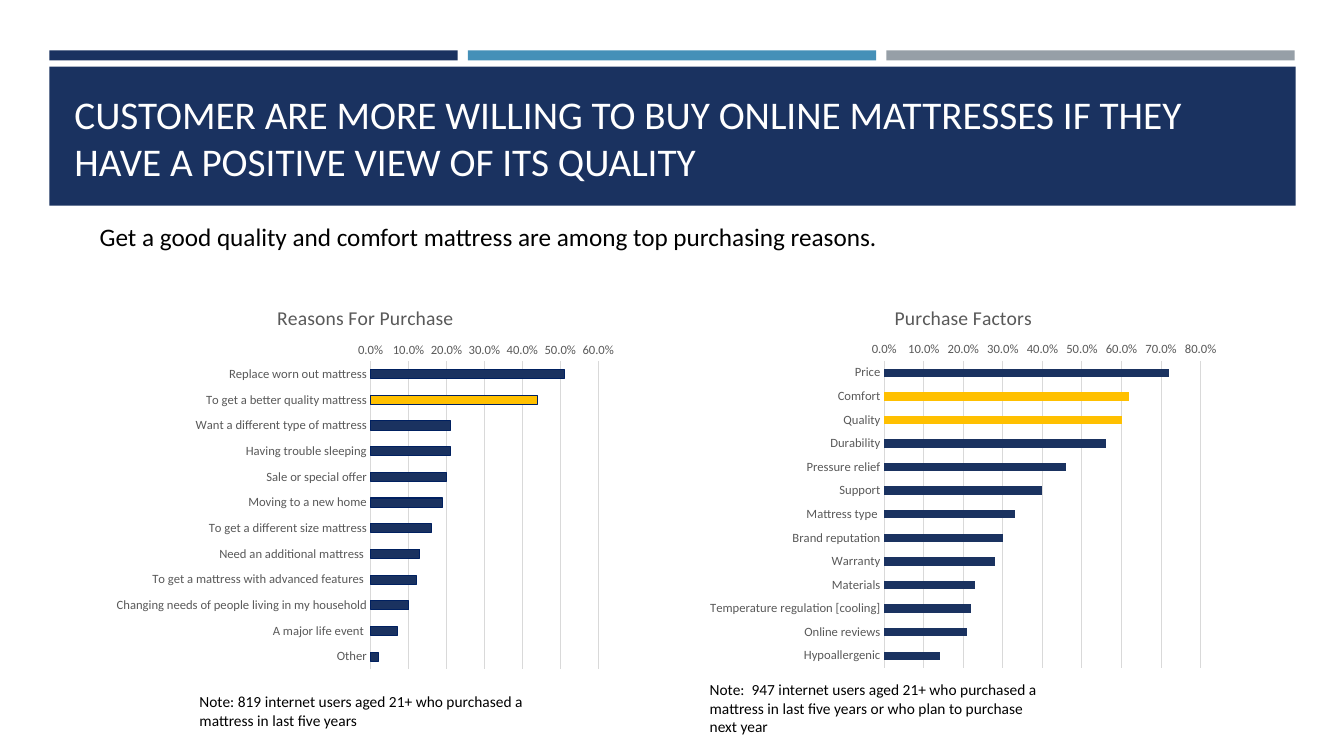
"""Build a slide on mattress purchase reasons with two bar charts."""
from pptx import Presentation
from pptx import util as u
from pptx.chart import data as chart_data
from pptx.dml import color
from pptx.enum import chart as chart_enum, shapes, text
from pptx.oxml import parse_xml
from pptx.oxml import ns

FONT = "Calibri"
COLORS = {
    "navy": "1A3260", "blue": "4590B8", "gray": "969FA7", "white": "FFFFFF",
    "black": "000000", "highlight": "FFC000", "outline": "002060",
    "label": "595959", "grid": "D9D9D9",
}
REASONS = {
    "Replace worn out mattress": 0.51,
    "To get a better quality mattress": 0.44,
    "Want a different type of mattress": 0.21,
    "Having trouble sleeping": 0.21,
    "Sale or special offer": 0.2,
    "Moving to a new home": 0.19,
    "To get a different size mattress": 0.16,
    "Need an additional mattress ": 0.13,
    "To get a mattress with advanced features ": 0.12,
    "Changing needs of people living in my household": 0.1,
    "A major life event ": 0.07,
    "Other": 0.02,
}
FACTORS = {
    "Price": 0.72, "Comfort": 0.62, "Quality": 0.6, "Durability": 0.56,
    "Pressure relief": 0.46, "Support": 0.4, "Mattress type ": 0.33,
    "Brand reputation": 0.3, "Warranty": 0.28, "Materials": 0.23,
    "Temperature regulation [cooling]": 0.22, "Online reviews": 0.21,
    "Hypoallergenic": 0.14,
}


def rgb(name):
    return color.RGBColor.from_string(COLORS[name])


def box(bounds):
    return [u.Inches(value) for value in bounds]


def style_font(font, size, color_name):
    font.name = FONT
    font.size = u.Pt(size)
    font.bold = False
    font.color.rgb = rgb(color_name)


def paint(fill, color_name):
    fill.solid()
    fill.fore_color.rgb = rgb(color_name)


def draw_line(line, color_name):
    line.color.rgb = rgb(color_name)
    line.width = u.Pt(0.75)


def add_band(slide, bounds, color_name):
    shape = slide.shapes.add_shape(shapes.MSO_SHAPE.RECTANGLE, *box(bounds))
    shape.shadow.inherit = False
    paint(shape.fill, color_name)
    shape.line.fill.background()


def add_text(slide, bounds, content, size, color_name="black", anchor="TOP"):
    frame = slide.shapes.add_textbox(*box(bounds)).text_frame
    frame.word_wrap = True
    frame.vertical_anchor = text.MSO_ANCHOR[anchor]
    run = frame.paragraphs[0].add_run()
    run.text = content
    style_font(run.font, size, color_name)


def place_plot(chart, plot_bounds):
    plot_area = chart._chartSpace.chart.plotArea
    for layout in plot_area.findall(ns.qn("c:layout")):
        plot_area.remove(layout)
    sides = "".join(f'<c:{side} val="{value}"/>'
                    for side, value in zip("xywh", plot_bounds))
    plot_area.insert(0, parse_xml(
        f'<c:layout {ns.nsdecls("c")}><c:manualLayout>'
        '<c:layoutTarget val="inner"/><c:xMode val="edge"/>'
        f'<c:yMode val="edge"/>{sides}</c:manualLayout></c:layout>'))


def style_axes(chart, maximum):
    category, value = chart.category_axis, chart.value_axis
    for axis in (category, value):
        axis.major_tick_mark = chart_enum.XL_TICK_MARK.NONE
        axis.minor_tick_mark = chart_enum.XL_TICK_MARK.NONE
        style_font(axis.tick_labels.font, 9, "label")
    category.reverse_order = True
    draw_line(category.format.line, "grid")
    value.minimum_scale = 0
    value.maximum_scale = maximum
    value.major_unit = 0.1
    value.format.line.fill.background()
    draw_line(value.major_gridlines.format.line, "grid")
    value.tick_labels.number_format = "0.0%"
    value.tick_labels.number_format_is_linked = False


def add_bars(slide, bounds, title, values, maximum, plot_bounds,
             highlights, outlined=False):
    source = chart_data.CategoryChartData(number_format="0.0%")
    source.categories = list(values)
    source.add_series("Series 1", list(values.values()))
    chart = slide.shapes.add_chart(
        chart_enum.XL_CHART_TYPE.BAR_CLUSTERED, *box(bounds), source).chart
    style_font(chart.font, 10, "black")
    chart.has_legend = False
    chart.has_title = True
    run = chart.chart_title.text_frame.paragraphs[0].add_run()
    run.text = title
    style_font(run.font, 14, "label")
    style_axes(chart, maximum)
    plot = chart.plots[0]
    plot.gap_width = 182
    plot.vary_by_categories = False
    series = plot.series[0]
    formats = [(series.format, "navy")]
    formats += [(series.points[index].format, "highlight")
                for index in highlights]
    for bar_format, color_name in formats:
        paint(bar_format.fill, color_name)
        if outlined:
            draw_line(bar_format.line, "outline")
    place_plot(chart, plot_bounds)


def main():
    presentation = Presentation()
    presentation.slide_width = u.Inches(13.33)
    presentation.slide_height = u.Inches(7.5)
    slide = presentation.slides.add_slide(presentation.slide_layouts[6])

    for column, color_name in enumerate(("navy", "blue", "gray")):
        add_band(slide, (0.49 + 4.15 * column, 0.5, 4.05, 0.1), color_name)
    add_band(slide, (0.49, 0.66, 12.36, 1.38), "navy")
    add_text(slide, (0.64, 0.8, 12.06, 1.08),
             "CUSTOMER ARE MORE WILLING TO BUY ONLINE MATTRESSES IF THEY "
             "HAVE A POSITIVE VIEW OF ITS QUALITY", 28, "white", "BOTTOM")
    add_text(slide, (0.89, 2.15, 11.15, 0.4),
             "Get a good quality and comfort mattress are among top "
             "purchasing reasons.", 18)

    add_bars(slide, (1.06, 2.85, 5.13, 3.87), "Reasons For Purchase", REASONS,
             0.6, (0.51, 0.19, 0.44, 0.79), [1], outlined=True)
    add_bars(slide, (6.94, 2.85, 5.23, 3.85), "Purchase Factors", FACTORS,
             0.8, (0.35, 0.19, 0.6, 0.79), [1, 2])
    add_text(slide, (1.88, 6.82, 3.47, 0.47),
             "Note: 819 internet users aged 21+ who purchased a mattress in "
             "last five years", 11)
    add_text(slide, (6.94, 6.7, 3.59, 0.66),
             "Note:  947 internet users aged 21+ who purchased a mattress in "
             "last five years or who plan to purchase next year", 11)
    presentation.save("out.pptx")


if __name__ == "__main__":
    main()
